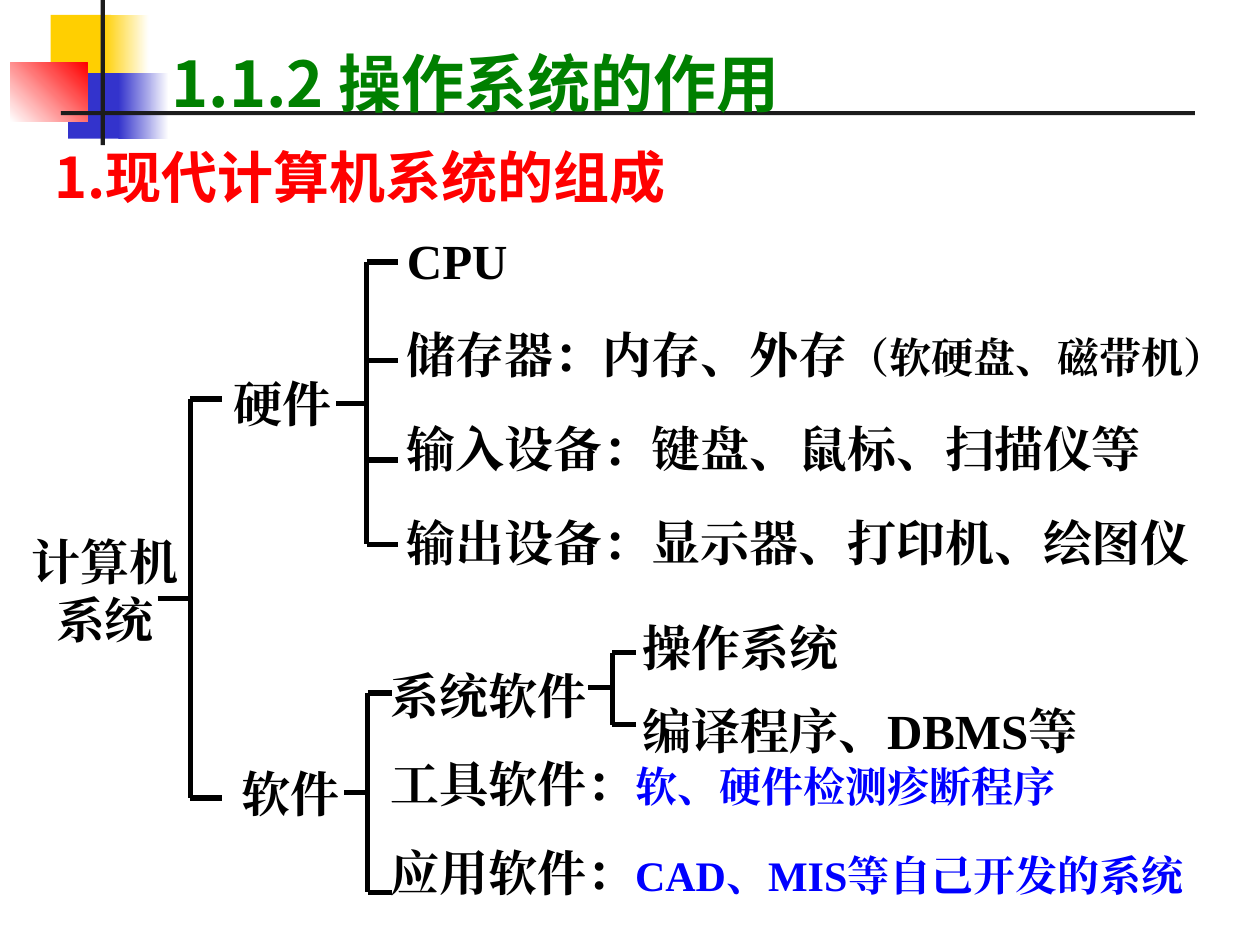
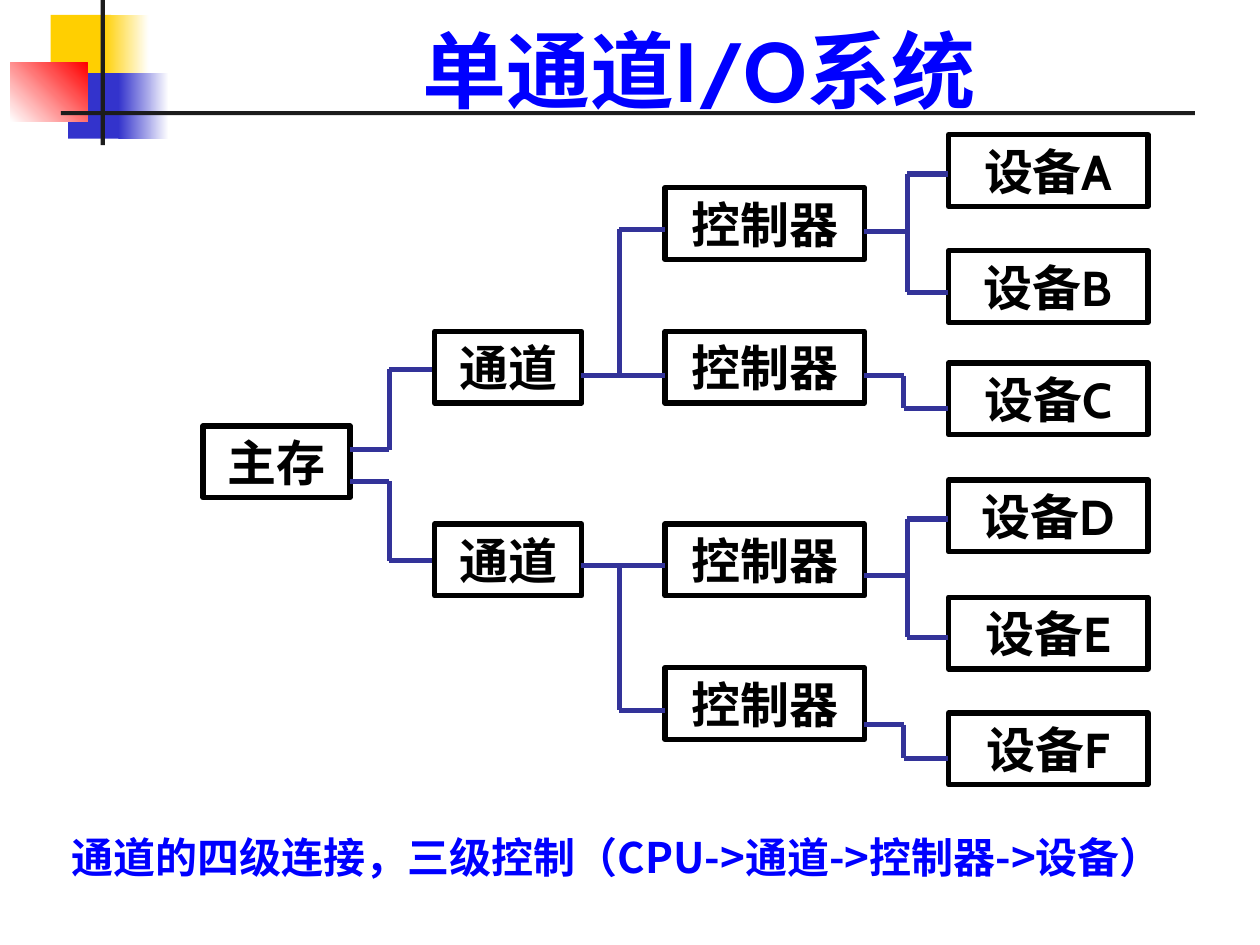
from lxml import etree
from pptx import Presentation
from pptx.dml.color import RGBColor
from pptx.enum.shapes import MSO_CONNECTOR, MSO_SHAPE
from pptx.enum.text import MSO_ANCHOR, PP_ALIGN
from pptx.oxml.ns import qn
from pptx.util import Pt

RECTANGLE, STRAIGHT = MSO_SHAPE.RECTANGLE, MSO_CONNECTOR.STRAIGHT
TOP, MIDDLE, BOTTOM = MSO_ANCHOR.TOP, MSO_ANCHOR.MIDDLE, MSO_ANCHOR.BOTTOM
LEFT, CENTER, JUSTIFY = PP_ALIGN.LEFT, PP_ALIGN.CENTER, PP_ALIGN.JUSTIFY

BLACK, WHITE, DARK = "000000", "FFFFFF", "1C1C1C"
YELLOW, INDIGO, RED = "FFCF01", "3333CC", "FF0000"
GREEN, BLUE, LINK = "008000", "0000FF", "333399"
SANS, SERIF, LATIN_SANS = "Noto Sans CJK SC", "Times New Roman", "Cabin"


def rgb(code):
    return RGBColor.from_string(code)


def add_span(para, text, size, font, color):
    span = para.add_run()
    span.text = text
    span.font.size = Pt(size)
    span.font.bold = True
    span.font.color.rgb = rgb(color)
    span.font.name = font
    east_asian = etree.SubElement(span.font._element, qn("a:ea"))
    east_asian.set("typeface", font)


def fill_text(frame, lines, font, align=LEFT, anchor=TOP, spacing=None):
    """Write lines, each a list of (text, size, color) runs."""
    frame.word_wrap = True
    frame.vertical_anchor = anchor
    for number, line in enumerate(lines):
        para = frame.add_paragraph() if number else frame.paragraphs[0]
        para.alignment = align
        if spacing:
            para.line_spacing = spacing
        for text, size, color in line:
            add_span(para, text, size, font, color)


def add_text(page, left, top, width, height, lines, font, **layout):
    box = page.shapes.add_textbox(Pt(left), Pt(top), Pt(width), Pt(height))
    fill_text(box.text_frame, lines, font, **layout)


def add_rectangle(page, left, top, width, height):
    shape = page.shapes.add_shape(RECTANGLE, Pt(left), Pt(top), Pt(width), Pt(height))
    shape.shadow.inherit = False
    return shape


def add_block(page, place, colors, angle=0):
    """Draw a borderless block, plain for one colour and shaded for two."""
    block = add_rectangle(page, *place)
    block.line.fill.background()
    if len(colors) == 1:
        block.fill.solid()
        block.fill.fore_color.rgb = rgb(colors[0])
        return
    block.fill.gradient()
    block.fill.gradient_angle = angle
    for stop, color in zip(block.fill.gradient_stops, colors):
        stop.color.rgb = rgb(color)


def add_line(page, x1, y1, x2, y2, color):
    line = page.shapes.add_connector(STRAIGHT, Pt(x1), Pt(y1), Pt(x2), Pt(y2))
    line.line.color.rgb = rgb(color)
    line.line.width = Pt(3)
    etree.SubElement(line._element.spPr, qn("a:effectLst"))


def add_bracket(page, origin, columns, stem_y, branch_ys, color):
    """Join a stem to branches; columns are the x of stem, spine and tips."""
    left, top = origin
    stem, spine, tip = (left + x for x in columns)
    ends = [stem_y, *branch_ys]
    add_line(page, stem, top + stem_y, spine, top + stem_y, color)
    add_line(page, spine, top + min(ends), spine, top + max(ends), color)
    for y in branch_ys:
        add_line(page, spine, top + y, tip, top + y, color)


def add_page(deck, title, size, font, color, align=LEFT):
    page = deck.slides.add_slide(deck.slide_layouts[6])
    add_block(page, (29, 8.5, 34.5, 37.5), [YELLOW])
    add_block(page, (59, 8.5, 26, 37.5), [YELLOW, WHITE])
    add_block(page, (39, 41.8, 33, 37.5), [INDIGO])
    add_block(page, (67.7, 41.8, 28.8, 37.5), [INDIGO, WHITE])
    add_block(page, (6, 36, 44, 33.5), [WHITE, RED], 45)
    add_block(page, (57.5, 0, 2.5, 83), [DARK])
    add_block(page, (34.8, 63.5, 648, 2.3), [DARK])
    add_text(page, 91, 6, 617, 66, [[(title, size, color)]], font,
             align=align, anchor=BOTTOM)
    return page


def add_computer_tree(page, left, top):
    def label(x, y, width, height, lines, **layout):
        add_text(page, left + x, top + y, width, height, lines, SERIF, **layout)

    for text, x, y, width, height in (("计算机系统", 0, 192, 108, 78),
                                      ("硬件", 113.5, 102, 84, 42),
                                      ("软件", 114.5, 325, 91, 41)):
        label(x, y, width, height, [[(text, 28, BLACK)]], align=CENTER)

    label(219.5, 0, 490, 222, [
        [("CPU", 28, BLACK)],
        [("储存器：内存、外存", 28, BLACK), ("（软硬盘、磁带机）", 24, BLACK)],
        [("输入设备：键盘、鼠标、扫描仪等", 28, BLACK)],
        [("输出设备：显示器、打印机、绘图仪", 28, BLACK)],
    ], align=JUSTIFY, spacing=1.6)
    label(210, 252, 492, 156, [
        [("系统软件", 28, BLACK)],
        [("工具软件：", 28, BLACK), ("软、硬件检测疹断程序", 24, BLUE)],
        [("应用软件：", 28, BLACK), ("CAD、MIS等自己开发的系统", 24, BLUE)],
    ], align=JUSTIFY, spacing=1.5)
    label(354, 228, 280, 108, [
        [("操作系统", 28, BLACK)],
        [("编译程序、DBMS等", 28, BLACK)],
    ], spacing=1.4)

    for columns, stem_y, branch_ys in (
            ((84, 102.7, 120.7), 234, (120, 348)),
            ((186.2, 203.5, 221.5), 122.4, (41.8, 98, 154.8, 203)),
            ((190.6, 204.2, 218), 345, (288, 402)),
            ((330.2, 344, 357.6), 285, (265, 306))):
        add_bracket(page, (left, top), columns, stem_y, branch_ys, BLACK)


def add_node(page, left, top, width, text):
    node = add_rectangle(page, left, top, width, 41)
    node.fill.background()
    node.line.color.rgb = rgb(BLACK)
    node.line.width = Pt(3)
    fill_text(node.text_frame, [[(text, 28, BLACK)]], LATIN_SANS,
              align=CENTER, anchor=MIDDLE)


def add_channel_tree(page, left, top):
    devices = [f"设备{letter}" for letter in "ABCDEF"]
    for x, width, names, ys in (
            (0, 84, ["主存"], (166.4,)),
            (132.4, 84, ["通道"] * 2, (112.4, 222.5)),
            (264, 114, ["控制器"] * 4, (30.3, 112.4, 222.5, 304.6)),
            (426, 114, devices, (0, 66.3, 130.4, 197.3, 264.3, 330.5))):
        for name, y in zip(names, ys):
            add_node(page, left + x, top + y, width, name)

    memory_link, channel_link = (84, 106.5, 131), (216, 238, 264)
    device_link, short_link = (378, 402.4, 426), (378, 400.4, 426)
    for columns, stem_y, branch_ys in (
            (memory_link, 180, (134,)),
            (memory_link, 198, (243.4,)),
            (channel_link, 137.6, (54, 137.6)),
            (channel_link, 246.3, (246.3, 329)),
            (device_link, 55.5, (22.4, 90)),
            (short_link, 137.6, (156.3,)),
            (device_link, 252, (219.6, 287.3)),
            (short_link, 337, (356.4,))):
        add_bracket(page, (left, top), columns, stem_y, branch_ys, LINK)


def main():
    deck = Presentation()
    deck.slide_width, deck.slide_height = Pt(720), Pt(540)

    page = add_page(deck, "1.1.2 操作系统的作用", 36, SANS, GREEN)
    add_text(page, 24, 78, 672, 50, [[("1.现代计算机系统的组成", 32, RED)]], SANS)
    add_computer_tree(page, 6, 108)

    page = add_page(deck, "单通道I/O系统", 48, LATIN_SANS, BLUE, CENTER)
    add_channel_tree(page, 116, 77)
    caption = "通道的四级连接，三级控制（CPU->通道->控制器->设备）"
    add_text(page, 34, 471.6, 677.5, 36, [[(caption, 24, BLUE)]], SANS)

    deck.save("out.pptx")


if __name__ == "__main__":
    main()
